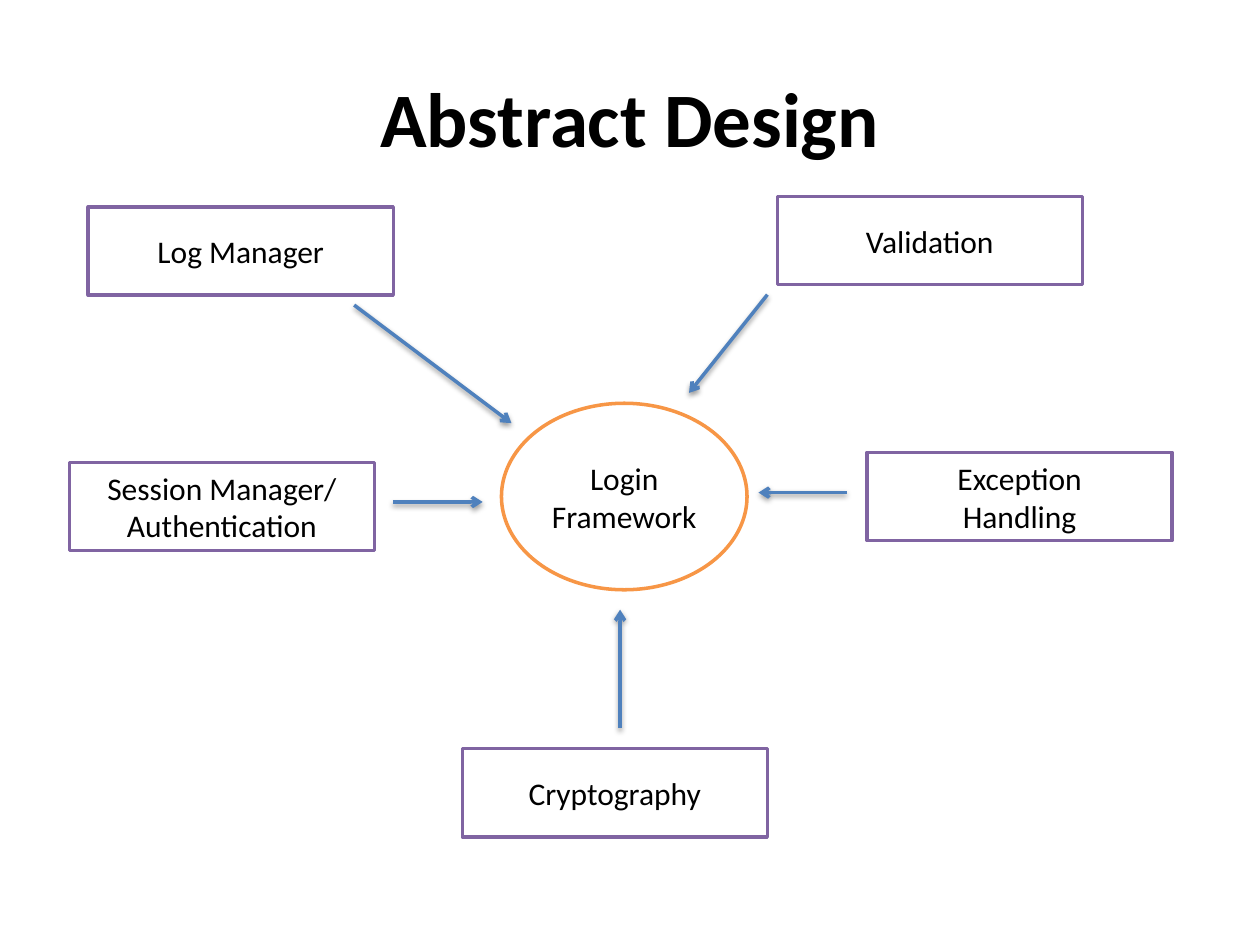
import pptx
import pptx.util
import pptx.dml.color
import pptx.enum.shapes
import pptx.enum.text
import pptx.oxml
import pptx.oxml.ns
from pptx.util import Cm, Pt

FONT = "Calibri"
BLACK, WHITE, PURPLE, ORANGE, BLUE = "000000", "FFFFFF", "8064A2", "F79646", "4F81BD"
LINE_WIDTH = Pt(2)

# All positions and sizes are in centimetres.
TITLE = "Abstract Design"
TITLE_AREA = (1.27, 0.76, 22.86, 3.18)
HUB = ("Login Framework", (10.11, 8.13, 4.95, 3.76))
BOX_SIZE = (6.15, 1.78)
# text, top left corner of the box, start and end of its arrow to the hub
MODULES = [
    ("Log Manager", (1.78, 4.17), (7.14, 6.15), (10.31, 8.53)),
    ("Validation", (15.67, 3.96), (15.47, 5.94), (13.89, 7.92)),
    ("Session Manager/\nAuthentication", (1.4, 9.32), (7.92, 10.12), (9.73, 10.12)),
    ("Cryptography", (9.32, 15.09), (12.5, 14.68), (12.5, 12.29)),
    ("Exception\nHandling", (17.48, 9.12), (17.07, 9.93), (15.29, 9.93)),
]
SHADOW = (
    f'<a:effectLst {pptx.oxml.ns.nsdecls("a")}>'
    f'<a:outerShdw blurRad="{Pt(3.1)}" dist="{Pt(1.6)}" dir="5400000" rotWithShape="0">'
    f'<a:srgbClr val="{BLACK}"><a:alpha val="38000"/></a:srgbClr>'
    '</a:outerShdw></a:effectLst>'
)
ARROWHEAD = f'<a:tailEnd {pptx.oxml.ns.nsdecls("a")} type="arrow"/>'


def color(hex_code):
    return pptx.dml.color.RGBColor.from_string(hex_code)


def set_text(shape, text, size, bold=False):
    frame = shape.text_frame
    frame.text = text
    frame.word_wrap = True
    frame.vertical_anchor = pptx.enum.text.MSO_ANCHOR.MIDDLE
    for para in frame.paragraphs:
        para.alignment = pptx.enum.text.PP_ALIGN.CENTER
        para.font.name = FONT
        para.font.size = Pt(size)
        para.font.bold = bold
        para.font.color.rgb = color(BLACK)


def set_line(shape, hex_code):
    shape.line.color.rgb = color(hex_code)
    shape.line.width = LINE_WIDTH


def add_node(slide, preset, area, text, outline):
    node = slide.shapes.add_shape(preset, *map(Cm, area))
    node.shadow.inherit = False
    node.fill.solid()
    node.fill.fore_color.rgb = color(WHITE)
    set_line(node, outline)
    set_text(node, text, 18)


def add_arrow(slide, start, end):
    arrow = slide.shapes.add_connector(
        pptx.enum.shapes.MSO_CONNECTOR.STRAIGHT, *map(Cm, start + end))
    set_line(arrow, BLUE)
    arrow.line._get_or_add_ln().append(pptx.oxml.parse_xml(ARROWHEAD))
    arrow._element.spPr.append(pptx.oxml.parse_xml(SHADOW))


def main():
    deck = pptx.Presentation()
    deck.slide_width, deck.slide_height = Cm(25.4), Cm(19.05)
    slide = deck.slides.add_slide(deck.slide_layouts.get_by_name("Title Only"))

    title = slide.shapes.title
    title.left, title.top, title.width, title.height = map(Cm, TITLE_AREA)
    set_text(title, TITLE, 44, bold=True)

    presets = pptx.enum.shapes.MSO_SHAPE
    hub_text, hub_area = HUB
    add_node(slide, presets.OVAL, hub_area, hub_text, ORANGE)
    for text, corner, start, end in MODULES:
        add_node(slide, presets.RECTANGLE, corner + BOX_SIZE, text, PURPLE)
        add_arrow(slide, start, end)

    deck.save("out.pptx")


if __name__ == "__main__":
    main()
